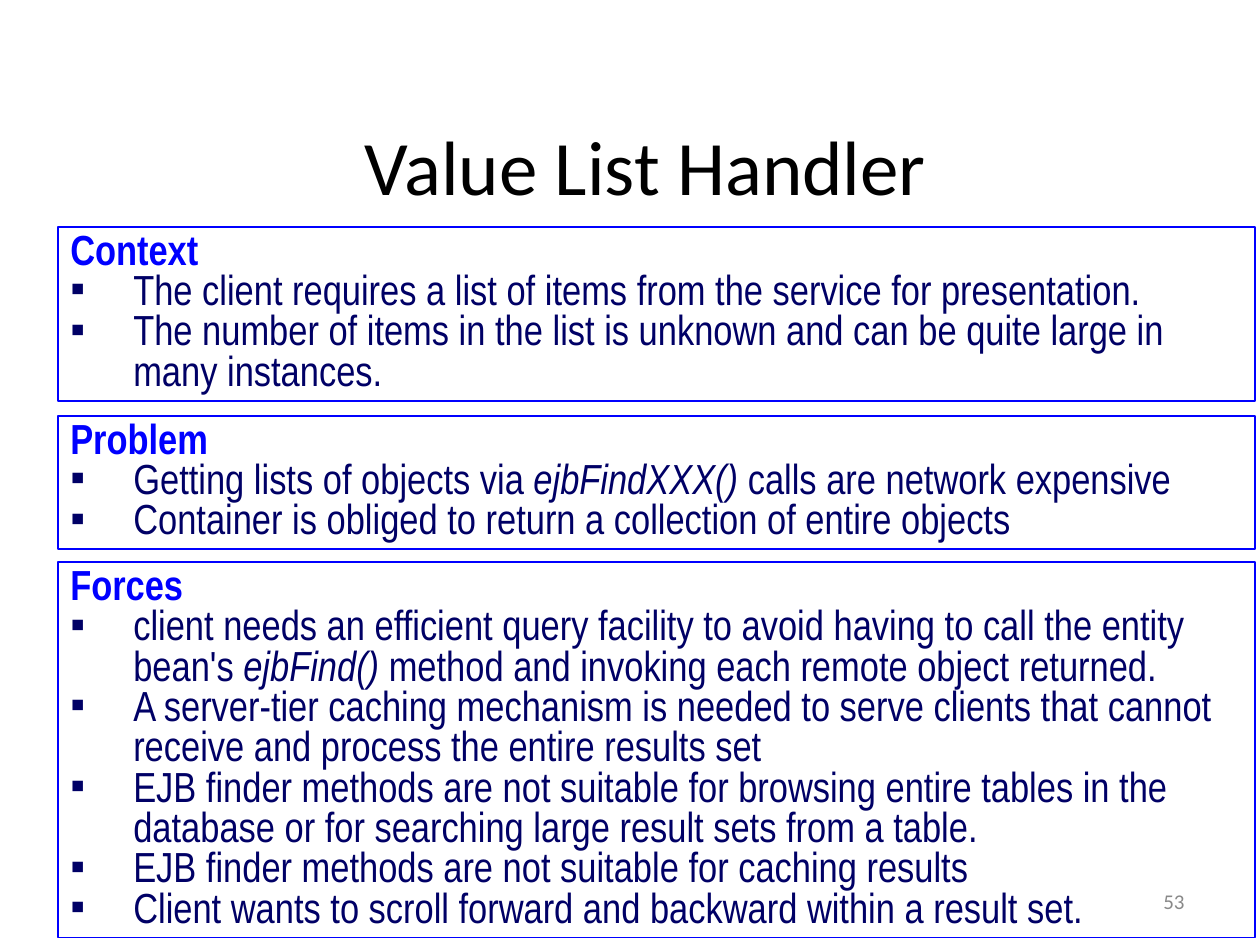
from lxml import etree
from pptx import Presentation
from pptx.dml.color import RGBColor
from pptx.enum.shapes import MSO_SHAPE
from pptx.enum.text import MSO_ANCHOR, MSO_AUTO_SIZE, PP_ALIGN
from pptx.oxml.ns import qn
from pptx.util import Pt

RECTANGLE = MSO_SHAPE.RECTANGLE
TOP, MIDDLE = MSO_ANCHOR.TOP, MSO_ANCHOR.MIDDLE
FIT_SHAPE, NO_FIT = MSO_AUTO_SIZE.SHAPE_TO_FIT_TEXT, MSO_AUTO_SIZE.NONE
LEFT, CENTER, RIGHT = PP_ALIGN.LEFT, PP_ALIGN.CENTER, PP_ALIGN.RIGHT

COLORS = {"title": "000000", "heading": "0000FF", "body": "000066", "number": "898989"}

# Heading, top and height in points, bullets; asterisks enclose italic words.
SECTIONS = [
    ("Context", 129.6, 99.4, [
        "The client requires a list of items from the service for presentation.",
        "The number of items in the list is unknown and can be quite large in many instances.",
    ]),
    ("Problem", 237.6, 76.3, [
        "Getting lists of objects via *ejbFindXXX()* calls are network expensive",
        "Container is obliged to return a collection of entire objects",
    ]),
    ("Forces", 321.1, 214.6, [
        "client needs an efficient query facility to avoid having to call the entity "
        "bean's *ejbFind()* method and invoking each remote object returned.",
        "A server-tier caching mechanism is needed to serve clients that cannot "
        "receive and process the entire results set",
        "EJB finder methods are not suitable for browsing entire tables in the "
        "database or for searching large result sets from a table.",
        "EJB finder methods are not suitable for caching results",
        "Client wants to scroll forward and backward within a result set.",
    ]),
]


class SlideWriter:
    title_font = "Calibri"
    body_font = "Arial Narrow"
    body_size = 24
    indent = 36

    def __init__(self, slide):
        self.slide = slide

    def format_span(self, span, font, size, color, bold=False, italic=False):
        span.font.name = font
        span.font.size = Pt(size)
        span.font.bold = bold
        span.font.italic = italic
        span.font.color.rgb = RGBColor.from_string(COLORS[color])

    def format_line(self, shape, size, color, alignment):
        """Style a shape that holds one line of text."""
        frame = shape.text_frame
        frame.word_wrap = True
        frame.auto_size = NO_FIT
        frame.vertical_anchor = MIDDLE
        para = frame.paragraphs[0]
        para.alignment = alignment
        self.format_span(para.runs[0], self.title_font, size, color)

    def title(self, text, left, top, width, height):
        title = self.slide.shapes.title
        title.left, title.top = Pt(left), Pt(top)
        title.width, title.height = Pt(width), Pt(height)
        title.text_frame.text = text
        self.format_line(title, 44, "title", CENTER)

    def page_number(self, text, left, top, width, height):
        box = self.slide.shapes.add_textbox(Pt(left), Pt(top), Pt(width), Pt(height))
        box.text_frame.text = text
        self.format_line(box, 12, "number", RIGHT)

    def paragraph(self, para):
        """Apply the left-aligned, tight, hanging layout of section text."""
        para.alignment = LEFT
        para.line_spacing = 0.8
        properties = para._p.get_or_add_pPr()
        properties.set("marL", str(Pt(self.indent)))
        properties.set("indent", str(-Pt(self.indent)))
        return properties

    def bullet(self, para, text):
        properties = self.paragraph(para)
        bullet_color = etree.SubElement(properties, qn("a:buClr"))
        etree.SubElement(bullet_color, qn("a:srgbClr"), val=COLORS["body"])
        etree.SubElement(properties, qn("a:buFont"), typeface="Arial")
        etree.SubElement(properties, qn("a:buChar"), char="▪")
        for index, part in enumerate(text.split("*")):
            span = para.add_run()
            span.text = part
            self.format_span(span, self.body_font, self.body_size, "body",
                             italic=index % 2 == 1)

    def section(self, heading, bullets, left, top, width, height):
        box = self.slide.shapes.add_shape(
            RECTANGLE, Pt(left), Pt(top), Pt(width), Pt(height))
        box.shadow.inherit = False
        box.fill.background()
        box.line.color.rgb = RGBColor.from_string(COLORS["heading"])
        box.line.width = Pt(1)
        frame = box.text_frame
        frame.word_wrap = True
        frame.auto_size = FIT_SHAPE
        frame.vertical_anchor = TOP
        frame.text = heading
        para = frame.paragraphs[0]
        self.paragraph(para)
        self.format_span(para.runs[0], self.body_font, self.body_size, "heading", bold=True)
        for text in bullets:
            self.bullet(frame.add_paragraph(), text)


def main():
    deck = Presentation()
    deck.slide_width, deck.slide_height = Pt(720), Pt(540)
    writer = SlideWriter(deck.slides.add_slide(deck.slide_layouts[5]))
    writer.title("Value List Handler", 20.9, 73.4, 696.2, 41.8)
    for heading, top, height, bullets in SECTIONS:
        writer.section(heading, bullets, 33.1, top, 684, height)
    writer.page_number("53", 516.2, 500.4, 167.8, 28.8)
    deck.save("out.pptx")


if __name__ == "__main__":
    main()
